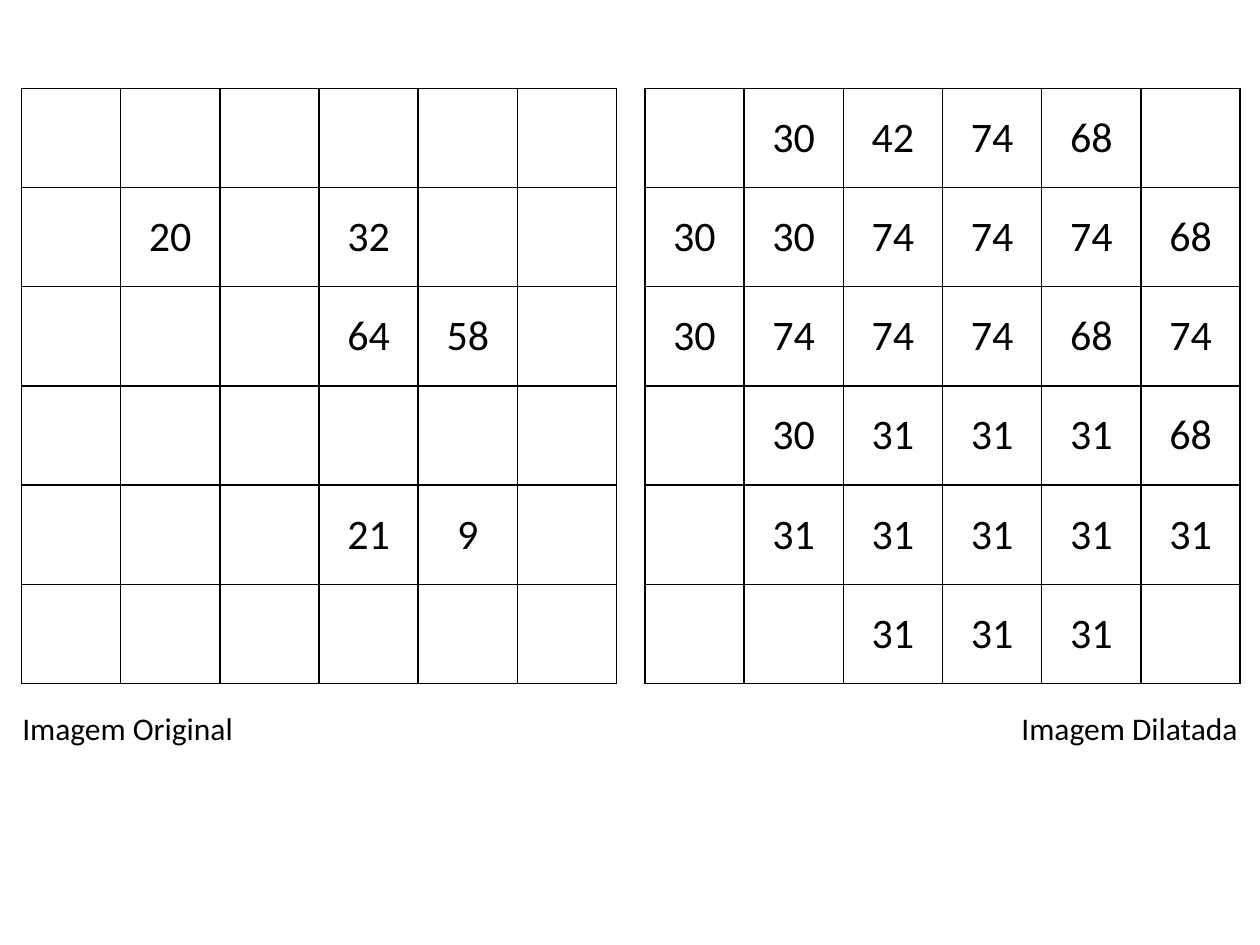
"""Build a slide that compares an image matrix with its dilated version."""
from lxml.etree import SubElement
from pptx import Presentation
from pptx.dml.color import RGBColor
from pptx.enum.text import MSO_ANCHOR, MSO_AUTO_SIZE, PP_ALIGN
from pptx.oxml.ns import qn
from pptx.util import Cm, Pt

COLORS = {"ink": "000000"}
FONT = "Calibri"
CELL_SIZE = 2
GRID_TOP = 1.78
CAPTION_TOP = 14.17

ORIGINAL = [
    ["", "", "", "", "", ""],
    ["", "20", "", "32", "", ""],
    ["", "", "", "64", "58", ""],
    ["", "", "", "", "", ""],
    ["", "", "", "21", "9", ""],
    ["", "", "", "", "", ""],
]
DILATED = [
    ["", "30", "42", "74", "68", ""],
    ["30", "30", "74", "74", "74", "68"],
    ["30", "74", "74", "74", "68", "74"],
    ["", "30", "31", "31", "31", "68"],
    ["", "31", "31", "31", "31", "31"],
    ["", "", "31", "31", "31", ""],
]


def format_paragraph(paragraph, size, alignment):
    paragraph.alignment = alignment
    for run in paragraph.runs:
        run.font.name = FONT
        run.font.size = Pt(size)
        run.font.color.rgb = RGBColor.from_string(COLORS["ink"])


def add_borders(cell):
    properties = cell._tc.get_or_add_tcPr()
    for side in ("a:lnL", "a:lnR", "a:lnT", "a:lnB"):
        line = SubElement(properties, qn(side), w=str(Pt(1)))
        fill = SubElement(line, qn("a:solidFill"))
        SubElement(fill, qn("a:srgbClr"), val=COLORS["ink"])


def add_matrix(slide, values, left):
    rows, columns = len(values), len(values[0])
    table = slide.shapes.add_table(
        rows, columns, Cm(left), Cm(GRID_TOP),
        Cm(columns * CELL_SIZE), Cm(rows * CELL_SIZE),
    ).table
    table.first_row = False
    table.horz_banding = False
    for row_index, row in enumerate(values):
        for column_index, value in enumerate(row):
            cell = table.cell(row_index, column_index)
            cell.vertical_anchor = MSO_ANCHOR.MIDDLE
            add_borders(cell)
            cell.fill.background()
            cell.text_frame.text = value
            format_paragraph(cell.text_frame.paragraphs[0], 24, PP_ALIGN.CENTER)


def add_caption(slide, text, left, width, alignment):
    shape = slide.shapes.add_textbox(Cm(left), Cm(CAPTION_TOP), Cm(width), Cm(1.02))
    text_frame = shape.text_frame
    text_frame.word_wrap = True
    text_frame.auto_size = MSO_AUTO_SIZE.SHAPE_TO_FIT_TEXT
    text_frame.text = text
    format_paragraph(text_frame.paragraphs[0], 18, alignment)


def main():
    presentation = Presentation()
    presentation.slide_width = Cm(25.4)
    presentation.slide_height = Cm(19.05)
    slide = presentation.slides.add_slide(presentation.slide_layouts[6])
    add_matrix(slide, DILATED, 13)
    add_matrix(slide, ORIGINAL, 0.43)
    add_caption(slide, "Imagem Original", 0.2, 5.56, PP_ALIGN.LEFT)
    add_caption(slide, "Imagem Dilatada", 18.72, 6.48, PP_ALIGN.RIGHT)
    presentation.save("out.pptx")


if __name__ == "__main__":
    main()
